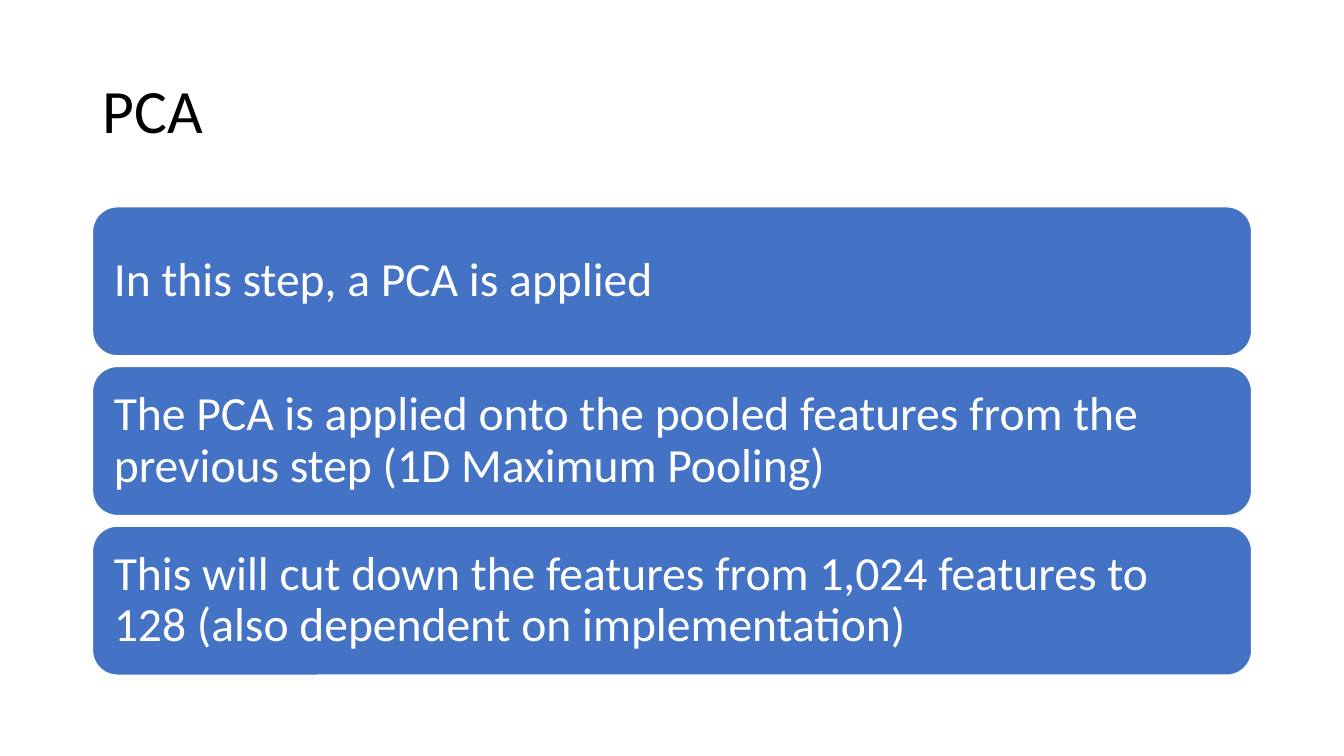
from pptx import Presentation
from pptx.dml.color import RGBColor
from pptx.enum.shapes import MSO_SHAPE as Shape
from pptx.enum.text import MSO_ANCHOR as Anchor, PP_ALIGN as Align
from pptx.util import Inches, Pt

COLOURS = {"title": "000000", "card": "4472C4", "paper": "FFFFFF"}
STEPS = [
    "In this step, a PCA is applied",
    "The PCA is applied onto the pooled features from the previous step (1D Maximum Pooling)",
    "This will cut down the features from 1,024 features to 128 (also dependent on implementation)",
]
# Percentages of the slide's width or height
LEFT, WIDTH = 6.88, 86.25
TITLE_TOP, TITLE_HEIGHT = 5.33, 19.33
CARDS_TOP, CARD_HEIGHT, CARD_PITCH = 27.35, 19.72, 21.12


class SlideBuilder:
    """Holds the text style and the slide; lengths are percentages of the slide."""

    font = "Calibri"
    line_spacing = 0.9

    def __init__(self, deck):
        self.deck = deck
        self.page = deck.slides.add_slide(deck.slide_layouts[6])

    def colour(self, name):
        return RGBColor.from_string(COLOURS[name])

    def place(self, left, top, width, height):
        """Turn percentages into slide lengths."""
        across, down = self.deck.slide_width / 100, self.deck.slide_height / 100
        return [round(v) for v in (left * across, top * down, width * across, height * down)]

    def add_text(self, box, text, size, colour):
        frame = box.text_frame
        frame.word_wrap = True
        frame.vertical_anchor = Anchor.MIDDLE
        para = frame.paragraphs[0]
        para.alignment = Align.LEFT
        para.line_spacing = self.line_spacing
        span = para.add_run()
        span.text = text
        span.font.name = self.font
        span.font.size = Pt(size)
        span.font.color.rgb = self.colour(colour)

    def title(self, text, *area):
        box = self.page.shapes.add_textbox(*self.place(*area))
        self.add_text(box, text, 44, "title")

    def card(self, text, *area):
        box = self.page.shapes.add_shape(Shape.ROUNDED_RECTANGLE, *self.place(*area))
        box.shadow.inherit = False
        box.fill.solid()
        box.fill.fore_color.rgb = self.colour("card")
        box.line.color.rgb = self.colour("paper")
        box.line.width = Pt(1)
        frame = box.text_frame
        frame.margin_left = frame.margin_right = Inches(0.14)
        frame.margin_top = frame.margin_bottom = Inches(0.14)
        self.add_text(box, text, 34, "paper")


def main():
    deck = Presentation()
    deck.slide_width, deck.slide_height = Inches(13.33), Inches(7.5)
    builder = SlideBuilder(deck)
    builder.title("PCA", LEFT, TITLE_TOP, WIDTH, TITLE_HEIGHT)
    for row, step in enumerate(STEPS):
        builder.card(step, LEFT, CARDS_TOP + row * CARD_PITCH, WIDTH, CARD_HEIGHT)
    deck.save("out.pptx")


if __name__ == "__main__":
    main()
